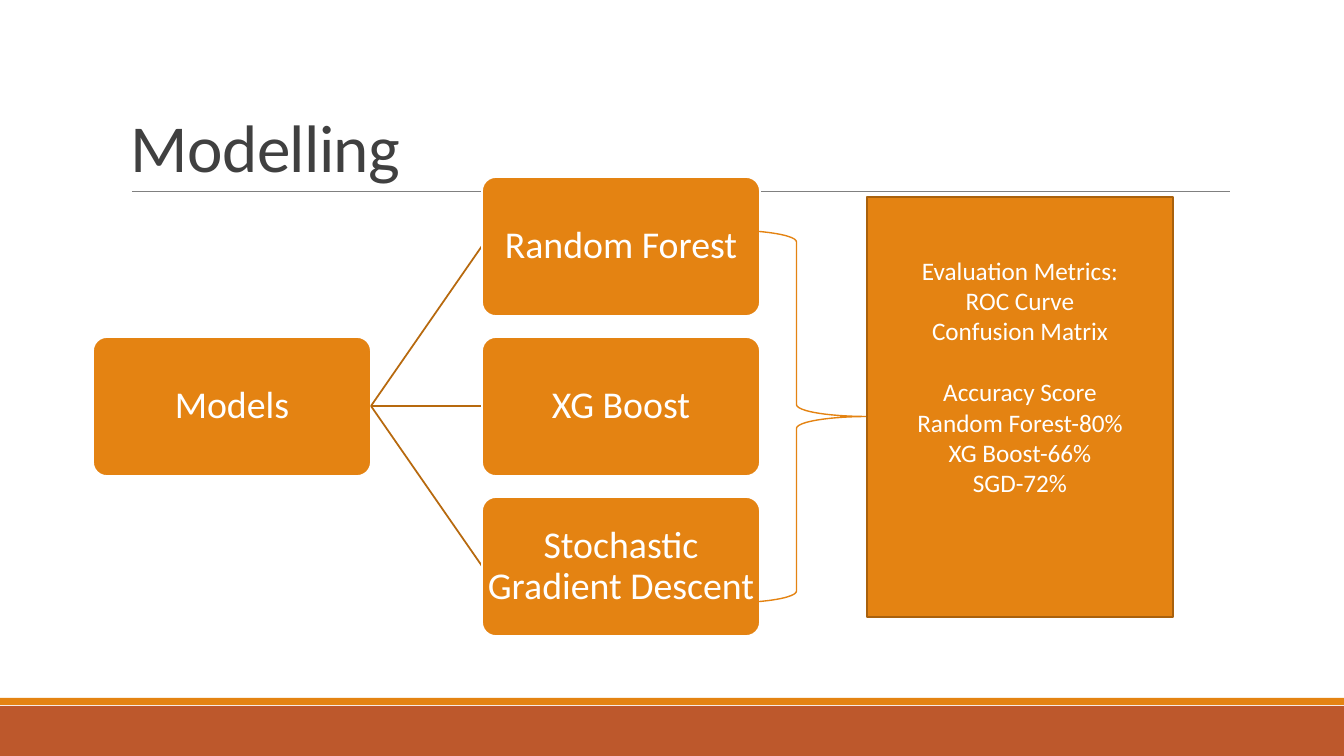
import pptx
import pptx.dml.color
import pptx.enum.shapes
import pptx.enum.text
import pptx.oxml.ns
import pptx.util
from lxml import etree

RGBColor = pptx.dml.color.RGBColor
Shapes = pptx.enum.shapes.MSO_SHAPE
Anchor = pptx.enum.text.MSO_ANCHOR
Align = pptx.enum.text.PP_ALIGN

WHITE = RGBColor(0xFF, 0xFF, 0xFF)
ORANGE = RGBColor(0xE4, 0x83, 0x12)
RUST = RGBColor(0xBD, 0x58, 0x2C)
BROWN = RGBColor(0xB7, 0x69, 0x0E)
DARK_BROWN = RGBColor(0xA9, 0x61, 0x0D)
GRAY = RGBColor(0x80, 0x80, 0x80)
CHARCOAL = RGBColor(0x40, 0x40, 0x40)


def px(length):
    return round(length * 914400 / 100.8)


def apply(target, formats):
    for name, value in formats.items():
        setattr(target, name, value)


class Board:
    def __init__(self, page, font):
        self.page = page
        self.font = font

    def label(self, shape, lines, size, color, insets, frame_format, para_format, tracking=0):
        frame = shape.text_frame
        sides = ("margin_left", "margin_top", "margin_right", "margin_bottom")
        apply(frame, {side: px(inset) for side, inset in zip(sides, insets)})
        apply(frame, {"word_wrap": True, **frame_format})
        for index, line in enumerate(lines):
            para = frame.paragraphs[0] if index == 0 else frame.add_paragraph()
            apply(para, para_format)
            span = para.add_run()
            span.text = line
            apply(span.font, {"name": self.font, "size": pptx.util.Pt(size)})
            span.font.color.rgb = color
            if tracking:
                span.font._element.set("spc", str(tracking))
        return frame

    def shape(self, kind, area, fill=None, line=None, width=1.25):
        box = self.page.shapes.add_shape(kind, *map(px, area))
        box.shadow.inherit = False
        if fill is None:
            box.fill.background()
        else:
            box.fill.solid()
            box.fill.fore_color.rgb = fill
        if line is None:
            box.line.fill.background()
        else:
            box.line.color.rgb = line
            box.line.width = pptx.util.Pt(width)
        return box

    def line(self, start, end, color, width):
        link = self.page.shapes.add_connector(
            pptx.enum.shapes.MSO_CONNECTOR.STRAIGHT, *map(px, start + end))
        link.line.color.rgb = color
        link.line.width = pptx.util.Pt(width)
        etree.SubElement(link._element.spPr, pptx.oxml.ns.qn("a:effectLst"))

    def title(self, text, area):
        box = self.page.shapes.add_textbox(*map(px, area))
        self.label(box, [text], 48, CHARCOAL, (10, 5, 10, 5),
                   {"vertical_anchor": Anchor.BOTTOM}, {"line_spacing": 0.85}, -50)

    def node(self, text, area):
        box = self.shape(Shapes.ROUNDED_RECTANGLE, area, ORANGE, WHITE)
        box.adjustments[0] = 0.1
        self.label(box, [text], 27, WHITE, (1, 1, 1, 1),
                   {"vertical_anchor": Anchor.MIDDLE},
                   {"alignment": Align.CENTER, "line_spacing": 0.9})

    def panel(self, groups, area):
        box = self.shape(Shapes.RECTANGLE, area, ORANGE, DARK_BROWN)
        lines = [line for group in groups for line in group]
        frame = self.label(box, lines, 18, WHITE, (10, 5, 10, 66),
                           {"vertical_anchor": Anchor.MIDDLE}, {"alignment": Align.CENTER})
        for group in groups[1:]:
            frame.paragraphs[lines.index(group[0])].space_before = pptx.util.Pt(22)


def main():
    deck = pptx.Presentation()
    apply(deck, {"slide_width": px(1344), "slide_height": px(756)})
    board = Board(deck.slides.add_slide(deck.slide_layouts[6]), "Calibri")

    board.shape(Shapes.RECTANGLE, (0, 706, 1344, 50), RUST)
    board.shape(Shapes.RECTANGLE, (0, 698, 1344, 7), ORANGE)
    board.line((132, 191), (1230, 191), GRAY, 0.5)
    board.title("Modelling", (121, 31, 1109, 160))

    width, height, step = 278, 139, 160
    root_left, model_left, first_top = 93, 482, 177
    middle = height // 2
    root_top = first_top + step
    board.node("Models", (root_left, root_top, width, height))
    models = ("Random Forest", "XG Boost", "Stochastic Gradient Descent")
    for index, model in enumerate(models):
        top = first_top + index * step
        board.line((root_left + width, root_top + middle), (model_left, top + middle), BROWN, 1.25)
        board.node(model, (model_left, top, width, height))

    board.shape(Shapes.RIGHT_BRACE, (725, 230, 143, 373), line=ORANGE, width=1)
    board.panel((
        ("Evaluation Metrics:", "ROC Curve", "Confusion Matrix"),
        ("Accuracy Score", "Random Forest-80%", "XG Boost-66%", "SGD-72%"),
    ), (867, 197, 306, 420))

    deck.save("out.pptx")


if __name__ == "__main__":
    main()
